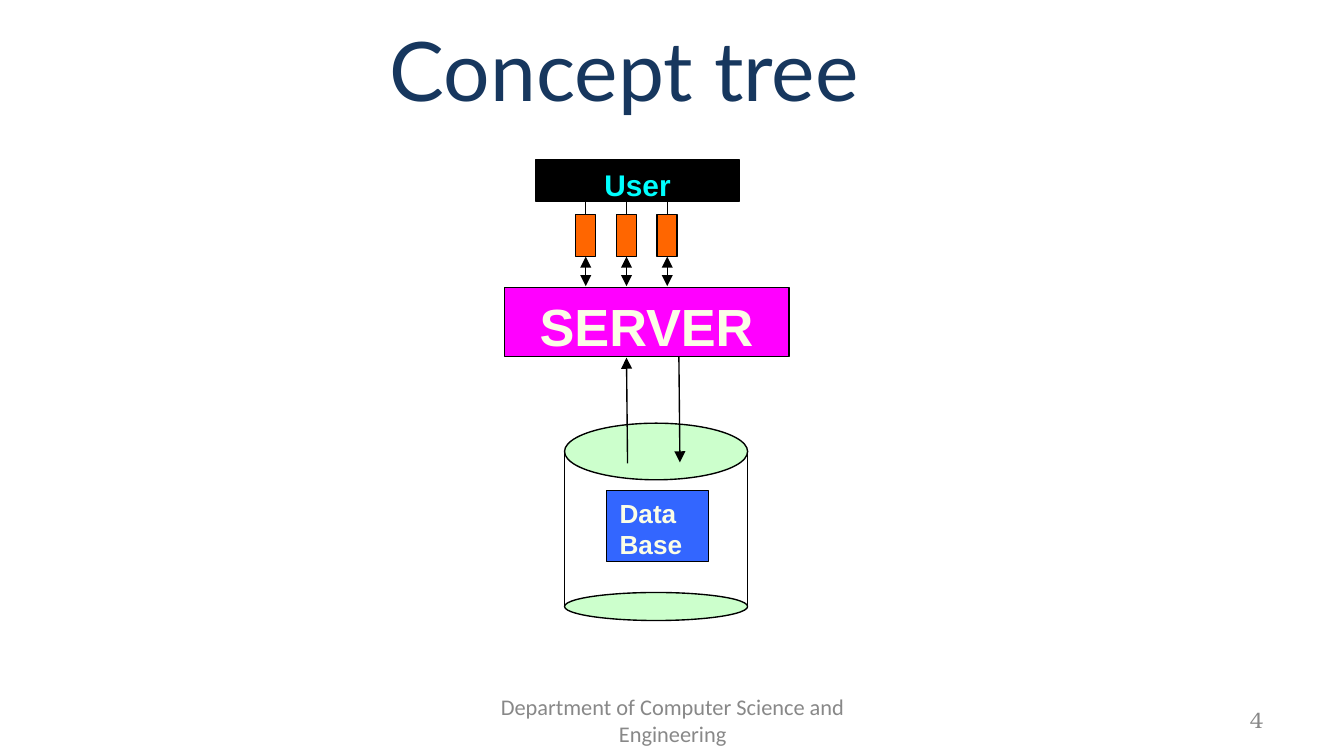
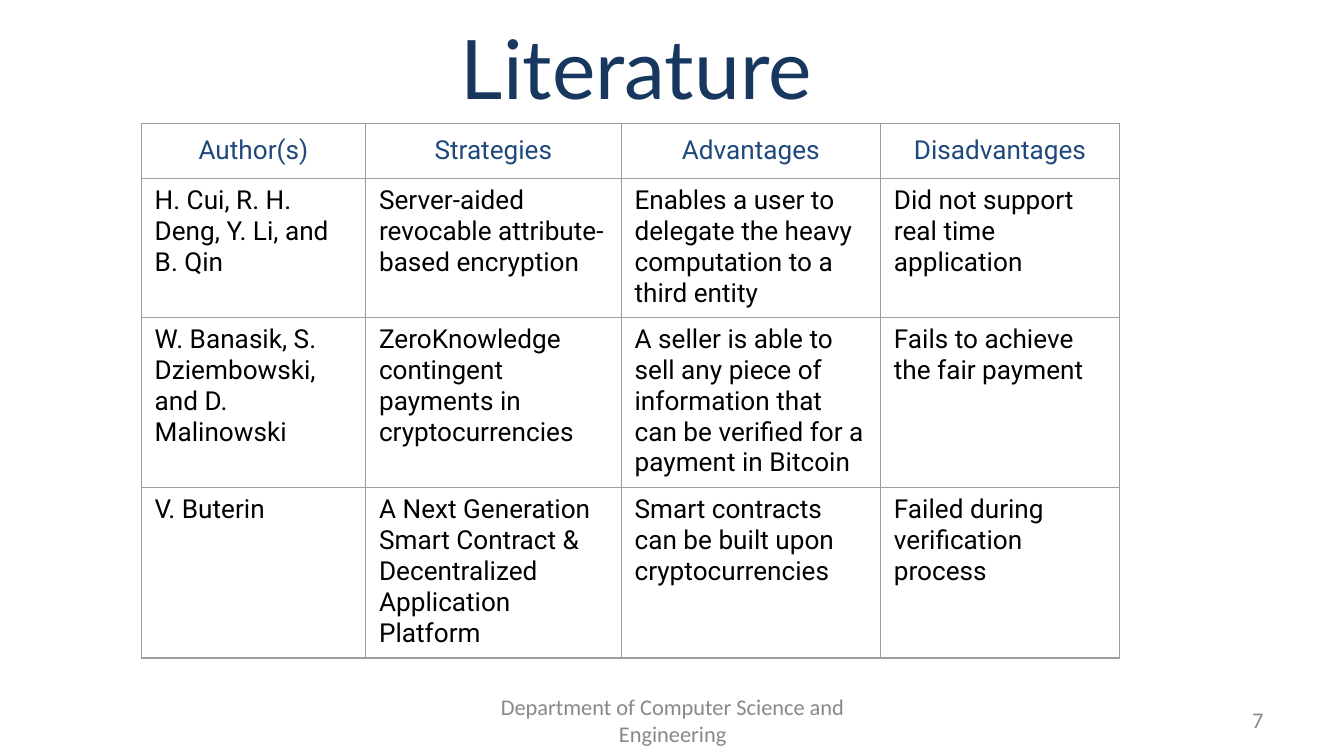
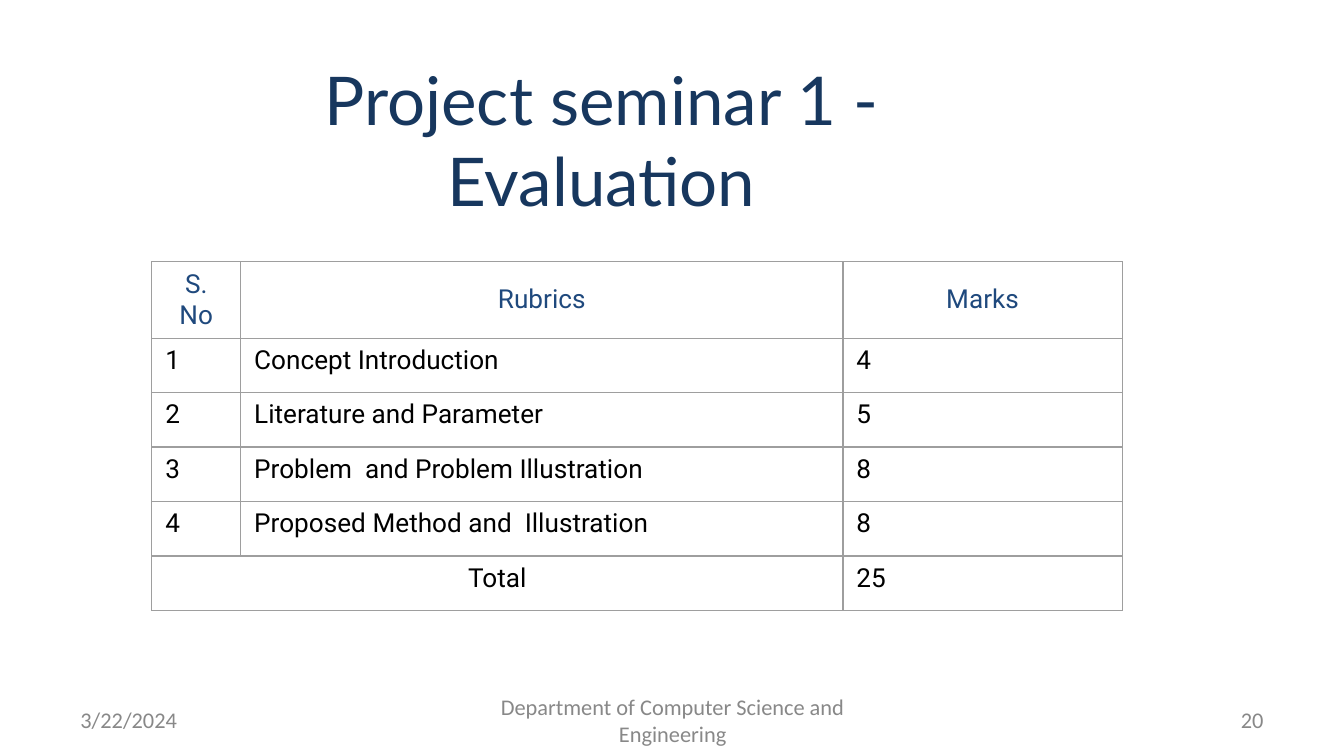
"""Builds three seminar slides: a concept diagram, a literature table and a marks table."""
import dataclasses

import pptx
import pptx.dml.color
import pptx.enum.shapes
import pptx.enum.text
import pptx.oxml
import pptx.oxml.ns
import pptx.util

Cm = pptx.util.Cm
Pt = pptx.util.Pt
ALIGN = pptx.enum.text.PP_ALIGN
ANCHOR = pptx.enum.text.MSO_ANCHOR
SHAPE = pptx.enum.shapes.MSO_SHAPE
STRAIGHT = pptx.enum.shapes.MSO_CONNECTOR.STRAIGHT
TOP, BOTTOM = 0, 2


@dataclasses.dataclass(frozen=True)
class Theme:
    title: str = "17375E"
    header: str = "1F497D"
    body: str = "000000"
    muted: str = "888888"
    grid: str = "9E9E9E"
    ink: str = "000000"
    server: str = "FF00FF"
    disk: str = "CCFFCC"
    pin: str = "FF6600"
    database: str = "3366FF"
    cream: str = "FBFDE7"
    cyan: str = "00FFFF"
    title_font: str = "Lato"
    table_font: str = "Roboto"
    footer_font: str = "Calibri"
    number_font: str = "TeX Gyre Bonum"
    figure_font: str = "Arial"
    title_size: int = 44
    long_title_size: int = 36
    table_size: int = 14
    footer_size: int = 12
    server_size: int = 28
    user_size: int = 16
    database_size: int = 14
    line_width: float = 0.75


THEME = Theme()
DEPARTMENT = "Department of Computer Science and Engineering"

CONCEPT = {"title": "Concept tree", "title_at": (3.3, 0.43), "number": "4",
           "number_font": THEME.number_font}

LITERATURE = {
    "title": "Literature", "title_at": (3.53, 0.38), "number": "7",
    "table_at": (2.67, 2.34), "columns": (4.24, 4.83, 4.9, 4.52),
    "rows": [
        ("Author(s)", "Strategies", "Advantages", "Disadvantages"),
        ("H. Cui, R. H. Deng, Y. Li, and B. Qin",
         "Server-aided revocable attribute-based encryption",
         "Enables a user to delegate the heavy computation to a third entity",
         "Did not support real time application"),
        ("W. Banasik, S. Dziembowski, and D. Malinowski",
         "ZeroKnowledge contingent payments in cryptocurrencies",
         "A seller is able to sell any piece of information that can be verified "
         "for a payment in Bitcoin",
         "Fails to achieve the fair payment"),
        ("V. Buterin",
         "A Next Generation Smart Contract & Decentralized Application Platform",
         "Smart contracts can be built upon cryptocurrencies",
         "Failed during verification process"),
    ],
}

EVALUATION = {
    "title": "Project seminar 1 - Evaluation", "title_at": (2.87, 1.75),
    "title_size": THEME.long_title_size, "number": "20", "date": "3/22/2024",
    "table_at": (2.87, 4.95), "columns": (1.68, 11.38, 5.28),
    "rows": [
        ("S. No", "Rubrics", "Marks"),
        ("1", "Concept Introduction", "4"),
        ("2", "Literature and Parameter", "5"),
        ("3", "Problem  and Problem Illustration", "8"),
        ("4", "Proposed Method and  Illustration", "8"),
        ("Total", None, "25"),
    ],
}

USER = (10.13, 3.02, 3.84, 0.79)
SERVER = (9.53, 5.44, 5.38, 1.3)
DATABASE = (11.46, 9.27, 1.93, 1.35)
DISK_TOP = (10.67, 8.0, 3.46, 1.07)
DISK_BOTTOM = (10.67, 11.2, 3.46, 0.53)
PIN_COUNT, PIN_LEFT, PIN_TOP, PIN_STEP = 3, 10.88, 4.06, 0.77
PIN_WIDTH, PIN_HEIGHT = 0.38, 0.79
DATA_FLOWS = [((11.86, 8.76), (11.84, 6.76)), ((12.83, 6.73), (12.85, 8.74))]
ROW_HEIGHT = 1.03


def rgb(colour):
    return pptx.dml.color.RGBColor.from_string(colour)


def write(frame, text, font, size, colour, align=ALIGN.LEFT, bold=False):
    frame.word_wrap = True
    para = frame.paragraphs[0]
    para.alignment = align
    span = para.add_run()
    span.text = text
    span.font.name = font
    span.font.size = Pt(size)
    span.font.bold = bold
    span.font.color.rgb = rgb(colour)


def add_text(page, place, text, font, size, colour, align):
    box = page.shapes.add_textbox(*map(Cm, place))
    box.text_frame.vertical_anchor = ANCHOR.MIDDLE
    write(box.text_frame, text, font, size, colour, align)


def add_page(deck, content):
    page = deck.slides.add_slide(deck.slide_layouts[6])
    add_text(page, (*content["title_at"], 17, 1.75), content["title"], THEME.title_font,
             content.get("title_size", THEME.title_size), THEME.title, ALIGN.CENTER)
    footers = [
        (1.27, 5.93, content.get("date"), THEME.footer_font, ALIGN.LEFT),
        (8.69, 8.05, DEPARTMENT, THEME.footer_font, ALIGN.CENTER),
        (18.2, 5.93, content["number"],
         content.get("number_font", THEME.footer_font), ALIGN.RIGHT),
    ]
    for left, width, text, font, align in footers:
        if text:
            add_text(page, (left, 13.23, width, 0.76), text, font,
                     THEME.footer_size, THEME.muted, align)
    return page


def add_block(figure, kind, place, colour):
    block = figure.add_shape(kind, *map(Cm, place))
    block.shadow.inherit = False
    block.fill.solid()
    block.fill.fore_color.rgb = rgb(colour)
    block.line.color.rgb = rgb(THEME.ink)
    block.line.width = Pt(THEME.line_width)
    return block


def add_label_block(figure, place, colour, text, size, text_colour, align):
    block = add_block(figure, SHAPE.RECTANGLE, place, colour)
    block.text_frame.vertical_anchor = ANCHOR.TOP
    write(block.text_frame, text, THEME.figure_font, size, text_colour, align, True)


def add_line(figure, start, end, arrow=False):
    line = figure.add_connector(STRAIGHT, *map(Cm, (*start, *end)))
    line.line.color.rgb = rgb(THEME.ink)
    line.line.width = Pt(THEME.line_width)
    properties = line._element.spPr
    if arrow:
        tail = pptx.oxml.parse_xml(
            f'<a:tailEnd {pptx.oxml.ns.nsdecls("a")} type="triangle"/>')
        properties.find(pptx.oxml.ns.qn("a:ln")).append(tail)
    properties.append(pptx.oxml.parse_xml(
        f'<a:effectLst {pptx.oxml.ns.nsdecls("a")}/>'))
    return line


def add_pin(figure, left):
    pin = add_block(figure, SHAPE.RECTANGLE, (left, PIN_TOP, PIN_WIDTH, PIN_HEIGHT), THEME.pin)
    lane = left + PIN_WIDTH / 2
    pin_bottom = PIN_TOP + PIN_HEIGHT
    server_top = SERVER[1]
    middle = (lane, (pin_bottom + server_top) / 2)
    add_line(figure, middle, (lane, server_top - 0.03), arrow=True)
    add_line(figure, middle, (lane, pin_bottom), arrow=True).end_connect(pin, BOTTOM)
    add_line(figure, (lane, USER[1] + USER[3]), (lane, PIN_TOP)).end_connect(pin, TOP)


def draw_concept(page):
    figure = page.shapes.add_group_shape().shapes
    add_label_block(figure, SERVER, THEME.server, "SERVER", THEME.server_size,
                    THEME.cream, ALIGN.CENTER)
    left, top, width, height = DISK_TOP
    for disk in (DISK_TOP, DISK_BOTTOM):
        add_block(figure, SHAPE.OVAL, disk, THEME.disk)
    for side in (left, left + width):
        add_line(figure, (side, top + height / 2), (side, DISK_BOTTOM[1] + DISK_BOTTOM[3] / 2))
    for index in range(PIN_COUNT):
        add_pin(figure, PIN_LEFT + index * PIN_STEP)
    add_label_block(figure, USER, THEME.ink, "User", THEME.user_size,
                    THEME.cyan, ALIGN.CENTER)
    add_label_block(figure, DATABASE, THEME.database, "Data Base", THEME.database_size,
                    THEME.cream, ALIGN.LEFT)
    for start, end in DATA_FLOWS:
        add_line(figure, start, end, arrow=True)


def frame_cell(cell):
    cell.fill.background()
    properties = cell._tc.get_or_add_tcPr()
    for index, edge in enumerate(("lnL", "lnR", "lnT", "lnB")):
        properties.insert(index, pptx.oxml.parse_xml(
            f'<a:{edge} {pptx.oxml.ns.nsdecls("a")} w="{Pt(THEME.line_width)}">'
            f'<a:solidFill><a:srgbClr val="{THEME.grid}"/></a:solidFill></a:{edge}>'))


def draw_table(page, content):
    rows, columns = content["rows"], content["columns"]
    size = (sum(columns), ROW_HEIGHT * len(rows))
    table = page.shapes.add_table(len(rows), len(columns),
                                  *map(Cm, (*content["table_at"], *size))).table
    table.first_row = table.horz_banding = False
    for column, width in zip(table.columns, columns):
        column.width = Cm(width)
    for row_index, row in enumerate(rows):
        table.rows[row_index].height = Cm(ROW_HEIGHT)
        is_header = row_index == 0
        centred = is_header or None in row
        for column_index, text in enumerate(row):
            cell = table.cell(row_index, column_index)
            frame_cell(cell)
            if text is None:
                table.cell(row_index, column_index - 1).merge(cell)
                continue
            cell.vertical_anchor = ANCHOR.MIDDLE if is_header else ANCHOR.TOP
            align = ALIGN.CENTER if centred and (is_header or column_index == 0) else ALIGN.LEFT
            write(cell.text_frame, text, THEME.table_font, THEME.table_size,
                  THEME.header if is_header else THEME.body, align)


def main():
    deck = pptx.Presentation()
    deck.slide_width, deck.slide_height = Cm(25.4), Cm(14.29)
    draw_concept(add_page(deck, CONCEPT))
    for content in (LITERATURE, EVALUATION):
        draw_table(add_page(deck, content), content)
    deck.save("out.pptx")


if __name__ == "__main__":
    main()
